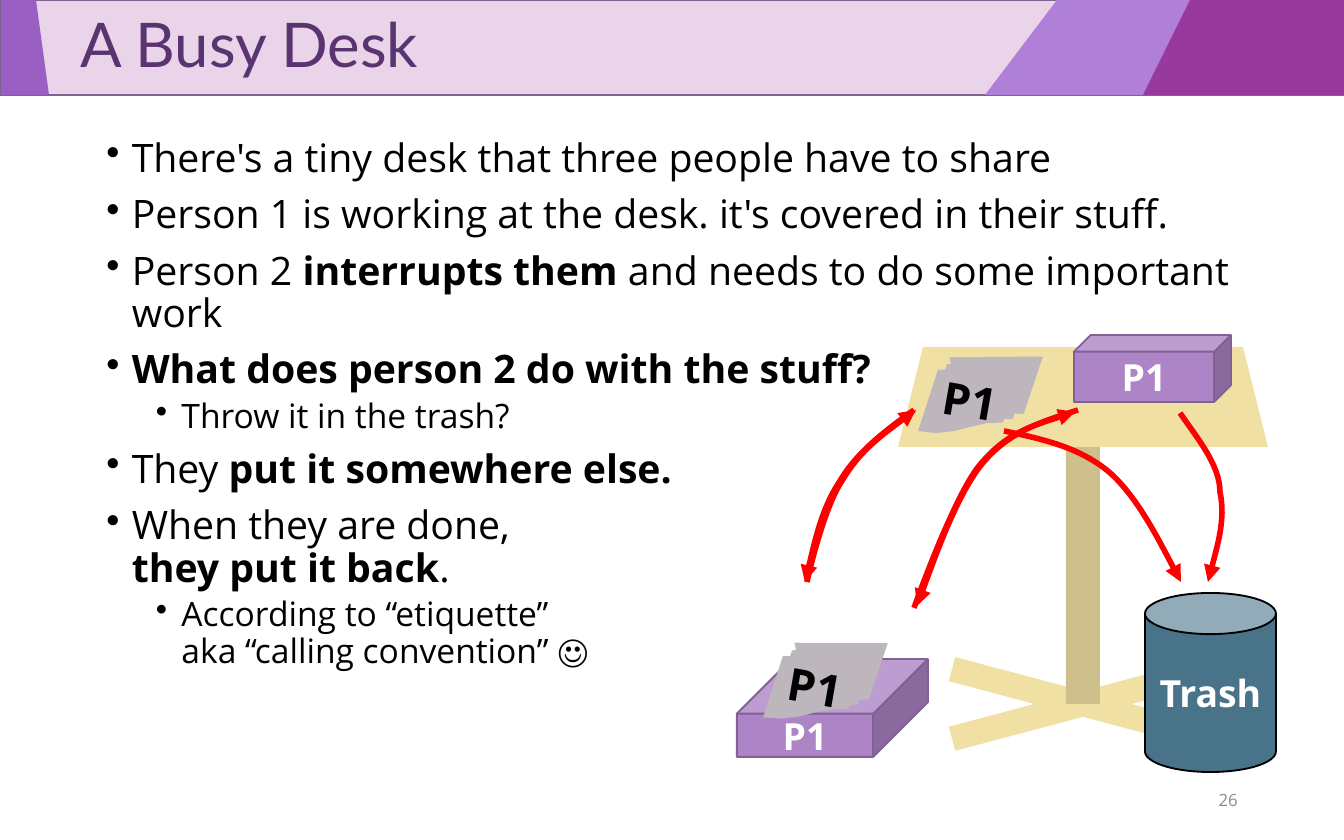
import math
from lxml import etree
from pptx import Presentation, util as u
from pptx.dml.color import RGBColor
from pptx.enum import shapes as s, text as t
from pptx.oxml.ns import qn

PX = 914400 / 134.4
COLORS = dict(band="E9D4E9", edge="806292", lilac="B07FD8", violet="995FC2",
              plum="98399D", title="5A3471", black="000000", white="FFFFFF",
              number="8C8C8C", wood="F0E0A4", leg="CDC08D", paper="BDB6BD",
              box="AD84C6", trash="497389", arrow="FF0000")


def px(*lengths):
    return [u.Emu(round(n * PX)) for n in lengths]


def color(name):
    return RGBColor.from_string(COLORS[name])


def style(shape, fill=None, line=None, width=1):
    shape.shadow.inherit = False
    if fill:
        shape.fill.solid()
        shape.fill.fore_color.rgb = color(fill)
    else:
        shape.fill.background()
    if line:
        shape.line.color.rgb = color(line)
        shape.line.width = u.Pt(width)
    else:
        shape.line.fill.background()
    return shape


def preset(parent, kind, box, fill, line=None, adj=None):
    shape = parent.add_shape(kind, *px(*box))
    if adj:
        shape.adjustments[0] = adj
    return style(shape, fill, line)


def outline(parent, points, close=True):
    builder = parent.build_freeform(*points[0], scale=PX)
    builder.add_line_segments(points[1:], close=close)
    return builder.convert_to_shape()


def set_font(paragraph, size, ink, name="Open Sans", bold=None):
    font = paragraph.font
    font.size, font.name, font.bold = u.Pt(size), name, bold
    font.color.rgb = color(ink)


def label(shape, words, size, ink):
    frame = shape.text_frame
    frame.word_wrap = True
    frame.vertical_anchor = t.MSO_ANCHOR.MIDDLE
    paragraph = frame.paragraphs[0]
    paragraph.text = words
    paragraph.alignment = t.PP_ALIGN.CENTER
    set_font(paragraph, size, ink, bold=True)


def text_box(parent, box, anchor):
    frame = parent.add_textbox(*px(*box)).text_frame
    frame.word_wrap = True
    frame.vertical_anchor = anchor
    return frame


def header(parent, box, words):
    x, y, w, h = box
    preset(parent, s.MSO_SHAPE.RECTANGLE, box, "band", "edge")
    # Slanted panels: left and right ends of the top and bottom edges
    for top, bottom, fill in (((1057, w), (985, w), "lilac"),
                              ((1, 36), (1, 49), "violet"),
                              ((1190, w), (1143, w), "plum")):
        corners = [(x + top[0], y), (x + top[1], y),
                   (x + bottom[1], y + h), (x + bottom[0], y + h)]
        style(outline(parent, corners), fill)
    paragraph = text_box(parent, box, t.MSO_ANCHOR.MIDDLE).paragraphs[0]
    paragraph.text = words
    paragraph.line_spacing = 0.9
    paragraph._p.get_or_add_pPr().set("marL", str(u.Inches(0.5)))
    set_font(paragraph, 33, "title", "Lato")


def bullets(parent, box, items):
    """Asterisks enclose the bold parts of each item."""
    frame = text_box(parent, box, t.MSO_ANCHOR.TOP)
    for i, (level, words) in enumerate(items):
        paragraph = frame.add_paragraph() if i else frame.paragraphs[0]
        paragraph.level = level
        paragraph.line_spacing = 0.9
        paragraph.space_before = u.Pt((7.5, 3.8)[level])
        set_font(paragraph, (21, 18)[level], "black")
        props = paragraph._p.get_or_add_pPr()
        props.set("marL", str(u.Inches((0.19, 0.56)[level])))
        props.set("indent", str(-u.Inches(0.19)))
        bullet = etree.Element(qn("a:buChar"), char="•")
        props.find(qn("a:defRPr")).addprevious(bullet)
        for j, part in enumerate(words.split("*")):
            for k, line in enumerate(part.split("\n")):
                if k:
                    paragraph.add_line_break()
                if line:
                    run = paragraph.add_run()
                    run.text = line
                    if j % 2:
                        run.font.bold = True


def desk(parent, box):
    x, y, w, h = box
    parts = parent.add_group_shape().shapes
    preset(parts, s.MSO_SHAPE.MATH_MULTIPLY, (x - 67, y + 290, 504, 134), "wood", adj=0.186)
    preset(parts, s.MSO_SHAPE.RECTANGLE, (x + 168, y + 44, 34, 313), "leg")
    preset(parts, s.MSO_SHAPE.TRAPEZOID, (x, y, w, 100), "wood")


def papers(parent, x, y, tilt=10):
    """A slanted stack of sheets, drawn upright and then turned with its text."""
    stack = [(31, 0), (125, 0), (106, 57), (97, 57), (95, 62), (87, 62), (85, 66),
             (70, 66), (55, 69), (36, 74), (18, 76), (0, 74), (20, 13),
             (27, 13), (29, 7), (33, 7)]
    a = math.radians(tilt)

    def turn(px_, py, angle):
        return (px_ * math.cos(angle) - py * math.sin(angle),
                px_ * math.sin(angle) + py * math.cos(angle))

    shape = outline(parent, [turn(x + dx, y + dy, -a) for dx, dy in stack])
    cx, cy = turn(shape.left + shape.width / 2, shape.top + shape.height / 2, a)
    shape.left, shape.top = round(cx - shape.width / 2), round(cy - shape.height / 2)
    shape.rotation = tilt
    style(shape, "paper")
    label(shape, "P1", 24, "black")
    frame = shape.text_frame
    frame.margin_left = frame.margin_top = frame.margin_bottom = 0
    frame.margin_right = px(18)[0]
    frame.margin_top = px(16)[0]


def arrow(parent, points, end="tailEnd"):
    """Start point, then three points for each cubic curve."""
    shape = style(outline(parent, points, close=False), line="arrow", width=3)
    track = shape._element.find(".//" + qn("a:path"))
    segments = track.findall(qn("a:lnTo"))
    for i in range(0, len(segments), 3):
        curve = etree.SubElement(track, qn("a:cubicBezTo"))
        for segment in segments[i:i + 3]:
            curve.append(segment[0])
            track.remove(segment)
    etree.SubElement(shape.line._get_or_add_ln(), qn("a:" + end), type="triangle")


def page_number(parent, box, number):
    paragraph = text_box(parent, box, t.MSO_ANCHOR.MIDDLE).paragraphs[0]
    paragraph.text = number
    paragraph.alignment = t.PP_ALIGN.RIGHT
    set_font(paragraph, 9, "number")


def scene(parent):
    desk(parent, (898, 347, 370, 424))
    papers(parent, 918, 357)
    cube, can = s.MSO_SHAPE.CUBE, s.MSO_SHAPE.CAN
    for kind, box, fill, line, adj, words in (
            (cube, (1074, 335, 157, 67), "box", "edge", 0.25, "P1"),
            (can, (1145, 593, 131, 179), "trash", "black", 0.314, "Trash"),
            (cube, (737, 659, 191, 98), "box", "edge", 0.558, "P1")):
        label(preset(parent, kind, box, fill, line, adj), words, 20, "white")
    papers(parent, 763, 643)

    # Into the trash
    arrow(parent, [(1004, 431), (1042, 439), (1079, 447), (1109, 472),
                   (1138, 497), (1181, 582), (1181, 582)])
    arrow(parent, [(1180, 413), (1197, 438), (1220, 465), (1220, 492),
                   (1226, 520), (1208, 582), (1208, 582)])
    # Off the desk and back again: one arrowhead on each of two strokes
    from_box = [(1078, 410), (1044, 421), (1009, 431), (982, 464),
                (956, 496), (917, 606), (917, 606)]
    from_papers = [(914, 410), (886, 430), (857, 452), (840, 481),
                   (821, 509), (805, 582), (805, 582)]
    for route, dx, dy in ((from_box, -3, 2), (from_papers, 2, 0)):
        arrow(parent, route)
        arrow(parent, [(x + dx, y + dy) for x, y in route], "headEnd")


deck = Presentation()
deck.slide_width, deck.slide_height = px(1344, 840)
canvas = deck.slides.add_slide(deck.slide_layouts[6]).shapes
header(canvas, (0, 0, 1344, 95), "A Busy Desk")
bullets(canvas, (93, 132, 1158, 625), [
    (0, "There's a tiny desk that three people have to share"),
    (0, "Person 1 is working at the desk. it's covered in their stuff."),
    (0, "Person 2 *interrupts them *and needs to do some important work"),
    (0, "*What does person 2 do with the stuff?*"),
    (1, "Throw it in the trash?"),
    (0, "They *put it somewhere else.*"),
    (0, "When they are done,\n*they put it back*."),
    (1, "According to “etiquette”\naka “calling convention” ☺"),
])
page_number(canvas, (949, 778, 302, 44), "26")
scene(canvas)
deck.save("out.pptx")
